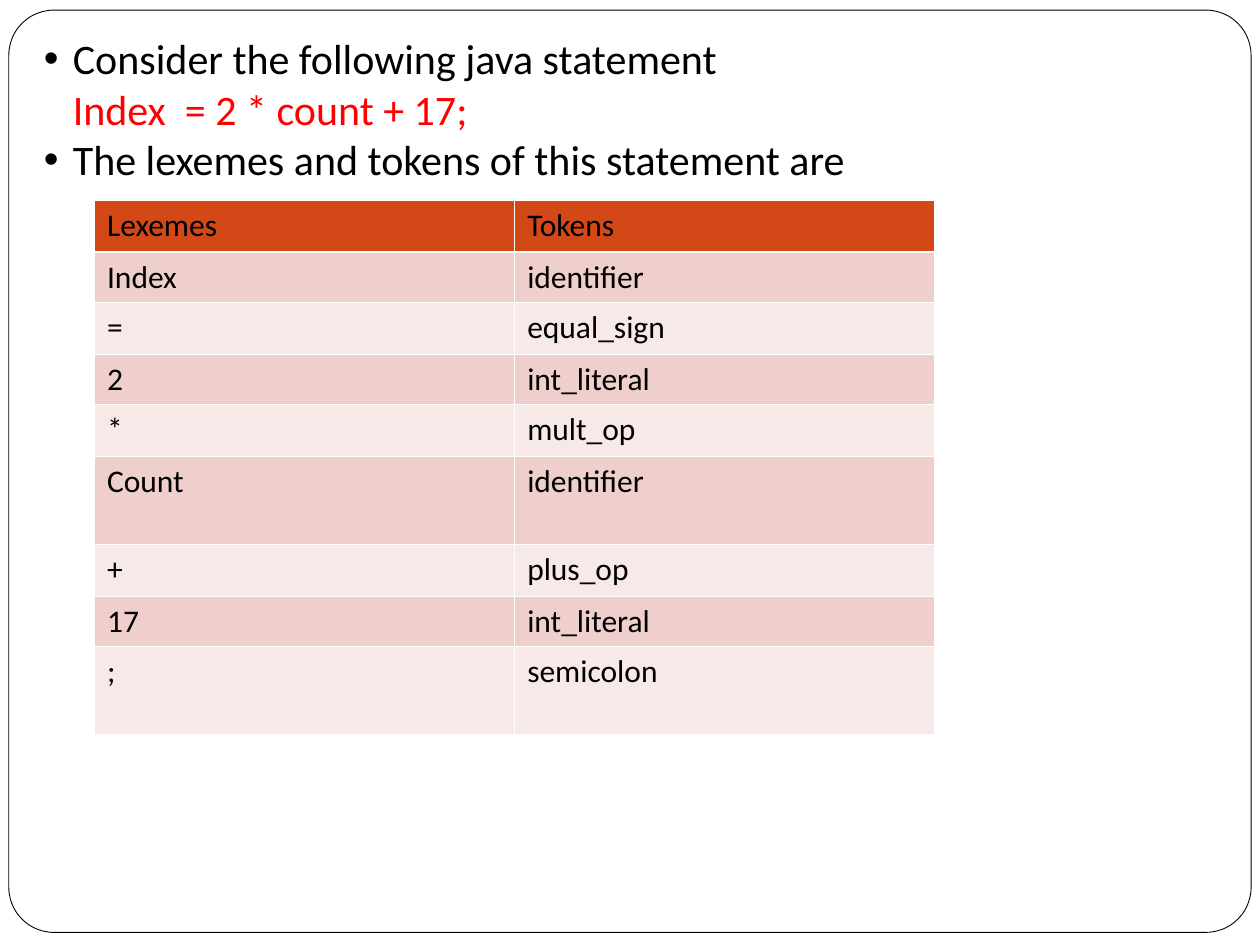
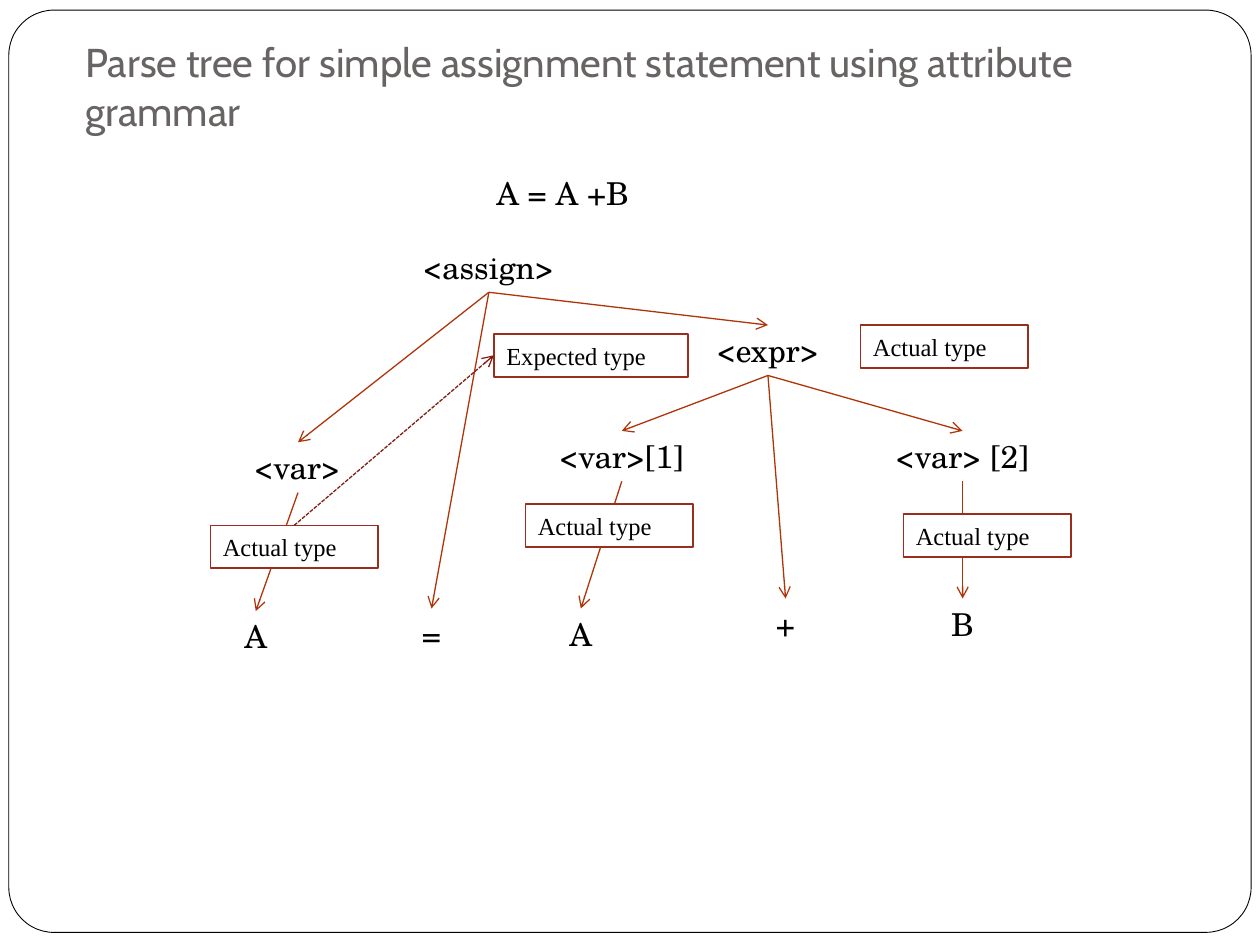
import pptx
import pptx.dml.color
import pptx.enum.dml
import pptx.enum.shapes
import pptx.oxml
import pptx.oxml.ns
import pptx.util
from pptx.dml.color import RGBColor
from pptx.util import Inches, Pt

BLACK = RGBColor(0x00, 0x00, 0x00)
WHITE = RGBColor(0xFF, 0xFF, 0xFF)
RED = RGBColor(0xFF, 0x00, 0x00)
TITLE_GREY = RGBColor(0x69, 0x64, 0x64)
HEADER_ORANGE = RGBColor(0xD3, 0x48, 0x17)
DARK_BAND = RGBColor(0xEF, 0xCF, 0xCC)
LIGHT_BAND = RGBColor(0xF7, 0xE9, 0xE7)
EDGE_ORANGE = RGBColor(0xAF, 0x34, 0x08)
LABEL_RED = RGBColor(0x9B, 0x2D, 0x1F)
DASH_RED = RGBColor(0x80, 0x1E, 0x11)

TOP, LEFT, BOTTOM = 0, 1, 2  # connection sites of a rectangle
RECTANGLE = pptx.enum.shapes.MSO_SHAPE.RECTANGLE
ROUNDED = pptx.enum.shapes.MSO_SHAPE.ROUNDED_RECTANGLE
STRAIGHT = pptx.enum.shapes.MSO_CONNECTOR.STRAIGHT
SYS_DASH = pptx.enum.dml.MSO_LINE.SQUARE_DOT
NAMESPACE = pptx.oxml.ns.nsdecls("a")


def style_text(paragraph, font, size, color=BLACK):
    for span in paragraph.runs:
        span.font.name = font
        span.font.size = Pt(size)
        span.font.bold = False
        span.font.color.rgb = color


def add_arrow(page, start, start_site, end, end_site, color):
    """Join two shapes with an open-headed arrow and return it."""
    arrow = page.shapes.add_connector(STRAIGHT, 0, 0, 0, 0)
    arrow.begin_connect(start, start_site)
    arrow.end_connect(end, end_site)
    arrow.line.color.rgb = color
    arrow.line.width = Pt(0.75)
    arrow.line._get_or_add_ln().append(
        pptx.oxml.parse_xml(f'<a:tailEnd {NAMESPACE} type="arrow"/>'))
    arrow._element.spPr.append(pptx.oxml.parse_xml(f"<a:effectLst {NAMESPACE}/>"))
    return arrow


deck = pptx.Presentation()
deck.slide_width = Inches(10)
deck.slide_height = Inches(7.5)

# Both pages share a rounded frame
pages = []
for _ in range(2):
    page = deck.slides.add_slide(deck.slide_layouts[6])
    frame = page.shapes.add_shape(
        ROUNDED, Inches(0.07), Inches(0.08), Inches(9.86), Inches(7.32))
    frame.adjustments[0] = 0.049
    frame.shadow.inherit = False
    frame.fill.solid()
    frame.fill.fore_color.rgb = WHITE
    frame.line.color.rgb = BLACK
    frame.line.width = Pt(0.5)
    pages.append(page)
lexeme_page, tree_page = pages

# Page 1: lexemes and tokens
statements = [
    ("Consider the following java statement", True, BLACK),
    ("Index  = 2 * count + 17;", False, RED),
    ("The lexemes and tokens of this statement are", True, BLACK),
]
intro = lexeme_page.shapes.add_textbox(
    Inches(0.25), Inches(0.21), Inches(9.5), Inches(1.32))
intro.text_frame.word_wrap = True
intro.text_frame.text = "\n".join(text for text, _, _ in statements)
for paragraph, (_, bulleted, color) in zip(intro.text_frame.paragraphs, statements):
    properties = paragraph._p.get_or_add_pPr()
    properties.set("marL", str(Inches(0.23)))
    properties.set("indent", str(-Inches(0.23) if bulleted else 0))
    if bulleted:
        for bullet in ('<a:buFont {} typeface="Arial"/>', '<a:buChar {} char="•"/>'):
            properties.append(pptx.oxml.parse_xml(bullet.format(NAMESPACE)))
    style_text(paragraph, "Calibri", 24, color)

lexemes = [
    ("Lexemes", "Tokens", 0.41),
    ("Index", "identifier", 0.4),
    ("=", "equal_sign", 0.41),
    ("2", "int_literal", 0.4),
    ("*", "mult_op", 0.41),
    ("Count", "identifier", 0.7),
    ("+", "plus_op", 0.41),
    ("17", "int_literal", 0.4),
    (";", "semicolon", 0.7),
]
table = lexeme_page.shapes.add_table(
    len(lexemes), 2, Inches(0.75), Inches(1.59), Inches(6.67), Inches(4.24)).table
for row_index, (lexeme, token, height) in enumerate(lexemes):
    table.rows[row_index].height = Inches(height)
    if row_index == 0:
        band = HEADER_ORANGE
    else:
        band = DARK_BAND if row_index % 2 else LIGHT_BAND
    for column_index, text in enumerate((lexeme, token)):
        cell = table.cell(row_index, column_index)
        cell.text = text
        style_text(cell.text_frame.paragraphs[0], "Calibri", 18)
        cell.fill.solid()
        cell.fill.fore_color.rgb = band
        # The rule below the header is heavier than the others
        widths = {"lnL": 0.45, "lnR": 0.45,
                  "lnT": 1.47 if row_index == 1 else 0.45,
                  "lnB": 1.47 if row_index == 0 else 0.45}
        for position, (side, width) in enumerate(widths.items()):
            cell._tc.get_or_add_tcPr().insert(position, pptx.oxml.parse_xml(
                f'<a:{side} {NAMESPACE} w="{Pt(width)}"><a:solidFill>'
                f'<a:srgbClr val="{WHITE}"/></a:solidFill></a:{side}>'))

# Page 2: parse tree
title = tree_page.shapes.add_textbox(
    Inches(0.58), Inches(0.25), Inches(8.17), Inches(0.88))
title.text_frame.word_wrap = True
title.text_frame.text = "Parse tree for simple assignment statement using attribute grammar"
style_text(title.text_frame.paragraphs[0], "Cabin", 23, TITLE_GREY)

nodes = {}
for name, text, left, top, width in [
    ("statement", "A = A +B", 3.84, 1.33, 1.25),
    ("assign", "<assign>", 3.26, 1.92, 1.24),
    ("target", "<var>", 1.92, 3.51, 0.89),
    ("expr", "<expr>", 5.59, 2.58, 1.01),
    ("target A", "A", 1.84, 4.85, 0.38),
    ("var 1", "<var>[1]", 4.34, 3.42, 1.19),
    ("var 2", "<var> [2]", 7.01, 3.42, 1.26),
    ("B", "B", 7.45, 4.75, 0.38),
    ("plus", "+", 6.06, 4.75, 0.35),
    ("A", "A", 4.42, 4.83, 0.38),
    ("equals", "=", 3.25, 4.83, 0.35),
]:
    node = tree_page.shapes.add_textbox(
        Inches(left), Inches(top), Inches(width), Inches(0.4))
    node.text_frame.word_wrap = False
    node.text_frame.text = text
    style_text(node.text_frame.paragraphs[0], "TeX Gyre Schola", 18)
    nodes[name] = node

children = {
    "assign": ["target", "expr", "equals"],
    "expr": ["var 1", "plus", "var 2"],
    "var 1": ["A"],
    "var 2": ["B"],
    "target": ["target A"],
}
for parent, names in children.items():
    for child in names:
        add_arrow(tree_page, nodes[parent], BOTTOM, nodes[child], TOP, EDGE_ORANGE)

labels = {}
for owner, text, left, top, width in [
    ("var 2", "Actual type", 7.17, 4.08, 1.33),
    ("var 1", "Actual type", 4.17, 4, 1.33),
    ("expected", "Expected type", 3.92, 2.65, 1.54),
    ("expr", "Actual type", 6.83, 2.58, 1.33),
    ("target", "Actual type", 1.67, 4.17, 1.33),
]:
    label = tree_page.shapes.add_shape(
        RECTANGLE, Inches(left), Inches(top), Inches(width), Inches(0.34))
    label.shadow.inherit = False
    label.fill.solid()
    label.fill.fore_color.rgb = WHITE
    label.line.color.rgb = LABEL_RED
    label.line.width = Pt(1)
    label.text_frame.word_wrap = True
    label.text_frame.text = text
    paragraph = label.text_frame.paragraphs[0]
    paragraph.alignment = pptx.enum.text.PP_ALIGN.LEFT
    style_text(paragraph, "Times New Roman", 14)
    labels[owner] = label

type_flow = add_arrow(
    tree_page, labels["target"], TOP, labels["expected"], LEFT, DASH_RED)
type_flow.line.dash_style = SYS_DASH

deck.save("out.pptx")
